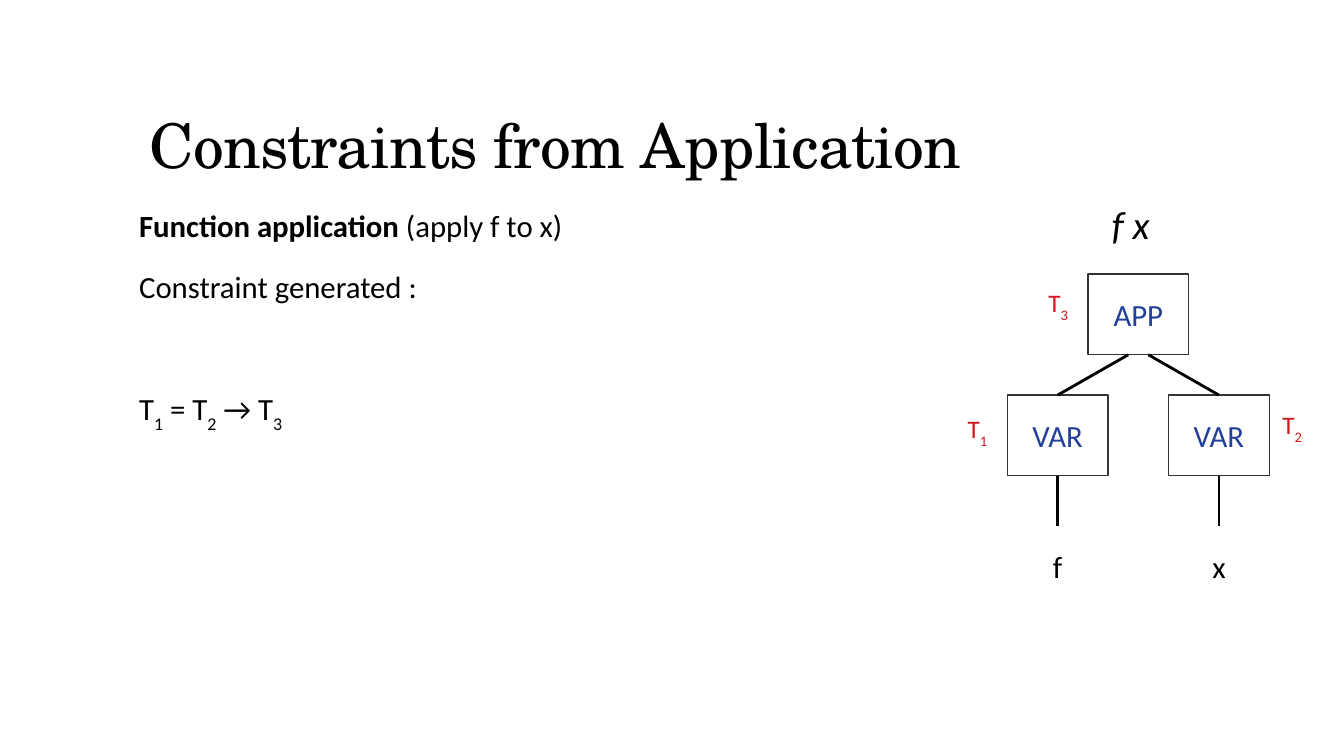
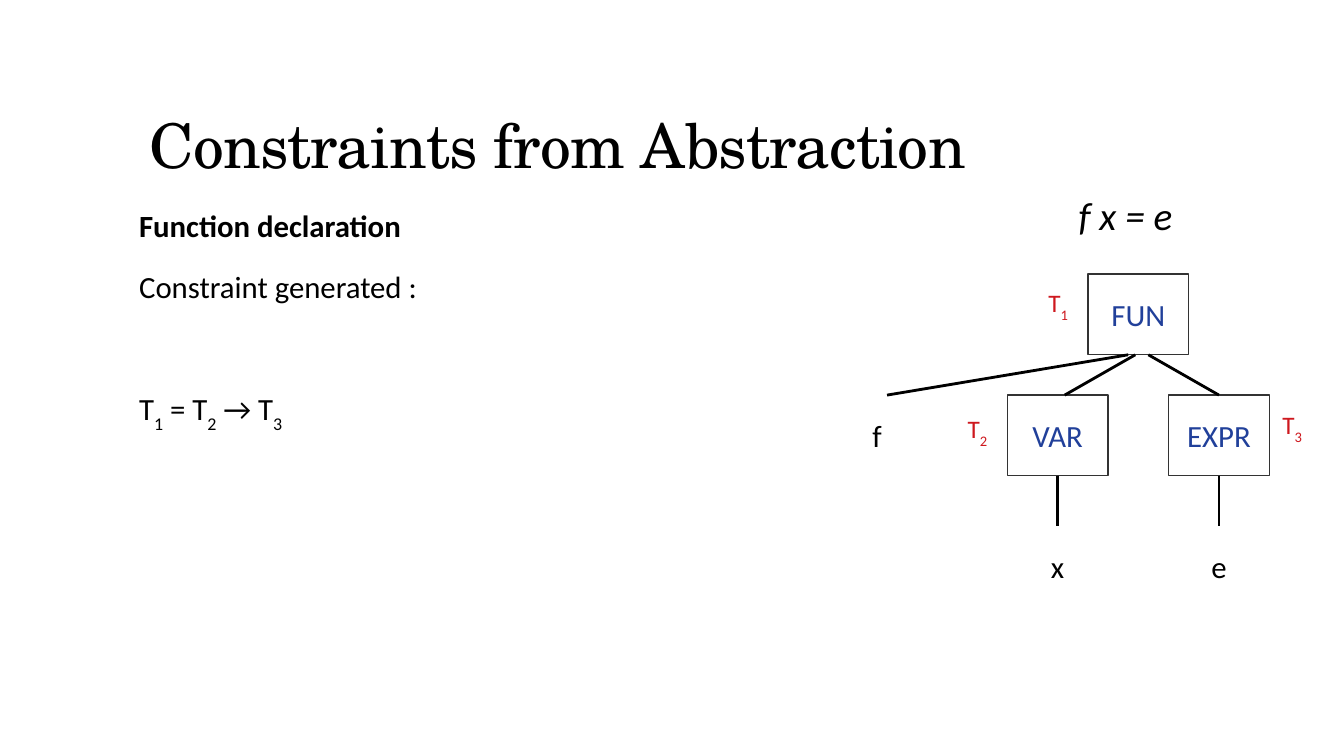
from dataclasses import dataclass
from typing import Optional

import lxml.etree
import pptx
import pptx.dml.color
import pptx.enum.shapes
import pptx.enum.text
import pptx.oxml.ns
import pptx.shapes.autoshape
import pptx.shapes.connector
import pptx.slide
import pptx.text.text
import pptx.util

Inches = pptx.util.Inches
Pt = pptx.util.Pt
RGBColor = pptx.dml.color.RGBColor
Align = pptx.enum.text.PP_ALIGN
Anchor = pptx.enum.text.MSO_ANCHOR
AutoSize = pptx.enum.text.MSO_AUTO_SIZE

# Shared style
BLACK = RGBColor(0x00, 0x00, 0x00)
OUTLINE = RGBColor(0x33, 0x33, 0x33)
NODE_BLUE = RGBColor(0x21, 0x40, 0x9A)
TYPE_RED = RGBColor(0xCE, 0x18, 0x1E)
TITLE_FONT = "TeX Gyre Schola"
BODY_FONT = "Calibri"
BODY_SIZE = 22
PARAGRAPH_GAP = 17.1
FORMULA_GAP = 61  # two paragraph gaps and one line of text

# Tree grid: column 0 is the left child, 1 the root, 2 the right child
COLUMN_ORIGIN, COLUMN_STEP = 10.49, 0.8
ROW_ORIGIN, ROW_STEP = 2.72, 1.2
NODE_WIDTH, NODE_HEIGHT = 1.0, 0.8
STEM = 0.5
ROOT_COLUMN = 1


@dataclass(frozen=True)
class Run:
    text: str
    bold: bool = False
    italic: bool = False
    subscript: bool = False


@dataclass(frozen=True)
class Branch:
    """A child of the root; the edge may miss the middles by an offset."""
    column: float
    text: str
    start_offset: float
    end_offset: float = 0
    leaf: Optional[str] = None  # a branch without a leaf is plain text


@dataclass(frozen=True)
class TypeTag:
    index: str
    left: float
    top: float


@dataclass(frozen=True)
class Page:
    title: str
    heading: tuple[Run, ...]
    expression: str
    expression_at: tuple[float, float]
    root: str
    branches: tuple[Branch, ...]
    tags: tuple[TypeTag, ...]


FORMULA = tuple(
    Run(text, subscript=text.isdigit())
    for text in ("T", "1", " = T", "2", " → T", "3")
)


def type_tags(root: str, left: str, right: str) -> tuple[TypeTag, ...]:
    return (TypeTag(root, 10.3, 2.8), TypeTag(left, 9.5, 4.05),
            TypeTag(right, 12.62, 4.01))


PAGES = (
    Page(
        "Constraints from Application",
        (Run("Function application", bold=True), Run(" (apply f to x)")),
        "f x", (10.93, 1.94), "APP",
        (Branch(0, "VAR", -0.1, leaf="f"), Branch(2, "VAR", 0.1, leaf="x")),
        type_tags("3", "1", "2"),
    ),
    Page(
        "Constraints from Abstraction",
        (Run("Function declaration", bold=True),),
        "f x = e", (10.6, 1.85), "FUN",
        (Branch(-2.24, "f", -0.1, 0.1),
         Branch(0, "VAR", -0.03, 0.07, leaf="x"),
         Branch(2, "EXPR", 0.1, leaf="e")),
        type_tags("1", "2", "3"),
    ),
)


def column_center(column: float) -> float:
    return COLUMN_ORIGIN + column * COLUMN_STEP


def row_top(row: int) -> float:
    return ROW_ORIGIN + row * ROW_STEP


# Text
def write_runs(paragraph: pptx.text.text._Paragraph, runs: tuple[Run, ...],
               size: float, color: RGBColor = BLACK,
               font: str = BODY_FONT) -> None:
    for item in runs:
        run = paragraph.add_run()
        run.text = item.text
        run.font.name = font
        run.font.size = Pt(size)
        run.font.color.rgb = color
        run.font.bold = item.bold
        run.font.italic = item.italic
        if item.subscript:
            run.font._element.set("baseline", "-33000")


def add_title(slide: pptx.slide.Slide, text: str) -> None:
    title = slide.shapes.title
    title.left, title.top = Inches(1.38), Inches(0.4)
    title.width, title.height = Inches(10.6), Inches(1.45)
    frame = title.text_frame
    frame.auto_size = AutoSize.NONE
    frame.vertical_anchor = Anchor.BOTTOM
    paragraph = frame.paragraphs[0]
    paragraph.alignment = Align.LEFT
    paragraph.line_spacing = 0.9
    write_runs(paragraph, (Run(text),), 44, font=TITLE_FONT)
    paragraph.runs[0].font._element.set("spc", "-50")


def add_body(slide: pptx.slide.Slide, heading: tuple[Run, ...]) -> None:
    body = slide.placeholders[1]
    body.left, body.top = Inches(1.38), Inches(2)
    body.width, body.height = Inches(9.4), Inches(4.76)
    frame = body.text_frame
    frame.auto_size = AutoSize.NONE
    frame.margin_left = frame.margin_right = 0
    lines = (
        (heading, 0),
        ((Run("Constraint generated :"),), PARAGRAPH_GAP),
        (FORMULA, FORMULA_GAP),
    )
    for index, (runs, gap) in enumerate(lines):
        paragraph = frame.add_paragraph() if index else frame.paragraphs[0]
        properties = paragraph._p.get_or_add_pPr()
        properties.set("marL", "0")
        properties.set("indent", "0")
        lxml.etree.SubElement(properties, pptx.oxml.ns.qn("a:buNone"))
        paragraph.space_before = Pt(gap)
        write_runs(paragraph, runs, BODY_SIZE)


def add_label(slide: pptx.slide.Slide, left: float, top: float, width: float,
              height: float, runs: tuple[Run, ...], size: float,
              color: RGBColor = BLACK) -> None:
    box = slide.shapes.add_textbox(
        Inches(left), Inches(top), Inches(width), Inches(height))
    box.text_frame.word_wrap = True
    write_runs(box.text_frame.paragraphs[0], runs, size, color)


# Tree
def add_cell(slide: pptx.slide.Slide, column: float, top: float, text: str,
             boxed: bool) -> pptx.shapes.autoshape.Shape:
    place = (Inches(column_center(column) - NODE_WIDTH / 2), Inches(top),
             Inches(NODE_WIDTH), Inches(NODE_HEIGHT))
    if boxed:
        cell = slide.shapes.add_shape(
            pptx.enum.shapes.MSO_SHAPE.RECTANGLE, *place)
        cell.shadow.inherit = False
        cell.fill.background()
        cell.line.color.rgb = OUTLINE
        cell.line.width = Pt(1)
    else:
        cell = slide.shapes.add_textbox(*place)
    frame = cell.text_frame
    frame.word_wrap = False
    frame.vertical_anchor = Anchor.MIDDLE
    frame.paragraphs[0].alignment = Align.CENTER
    write_runs(frame.paragraphs[0], (Run(text),), BODY_SIZE,
               NODE_BLUE if boxed else BLACK)
    return cell


def add_line(slide: pptx.slide.Slide, start: tuple[float, float],
             end: tuple[float, float]) -> pptx.shapes.connector.Connector:
    line = slide.shapes.add_connector(
        pptx.enum.shapes.MSO_CONNECTOR.STRAIGHT,
        Inches(start[0]), Inches(start[1]), Inches(end[0]), Inches(end[1]))
    line.line.color.rgb = BLACK
    line.line.width = Pt(0)
    lxml.etree.SubElement(
        line._element.spPr, pptx.oxml.ns.qn("a:effectLst"))
    return line


def add_branch(slide: pptx.slide.Slide, branch: Branch) -> None:
    center = column_center(branch.column)
    top = row_top(1)
    bottom = top + NODE_HEIGHT
    boxed = branch.leaf is not None
    child = add_cell(slide, branch.column, top, branch.text, boxed)
    edge = add_line(
        slide,
        (column_center(ROOT_COLUMN) + branch.start_offset,
         row_top(0) + NODE_HEIGHT),
        (center + branch.end_offset, top))
    if branch.leaf is None:
        return
    if branch.end_offset == 0:
        edge.end_connect(child, 0)
    stem = add_line(slide, (center, bottom), (center, bottom + STEM))
    stem.begin_connect(child, 2)
    add_cell(slide, branch.column, bottom + STEM, branch.leaf, boxed=False)


def add_page(presentation: pptx.presentation.Presentation, page: Page) -> None:
    slide = presentation.slides.add_slide(presentation.slide_layouts[1])
    add_title(slide, page.title)
    add_body(slide, page.heading)
    add_cell(slide, ROOT_COLUMN, row_top(0), page.root, boxed=True)
    for branch in page.branches:
        add_branch(slide, branch)
    add_label(slide, *page.expression_at, 2.4, 0.66,
              (Run(page.expression, italic=True),), 28)
    for tag in page.tags:
        add_label(slide, tag.left, tag.top, 0.7, 0.65,
                  (Run("T"), Run(tag.index, subscript=True)), 18, TYPE_RED)


def main() -> None:
    presentation = pptx.Presentation()
    presentation.slide_width = Inches(13.33)
    presentation.slide_height = Inches(7.5)
    for page in PAGES:
        add_page(presentation, page)
    presentation.save("out.pptx")


if __name__ == "__main__":
    main()
